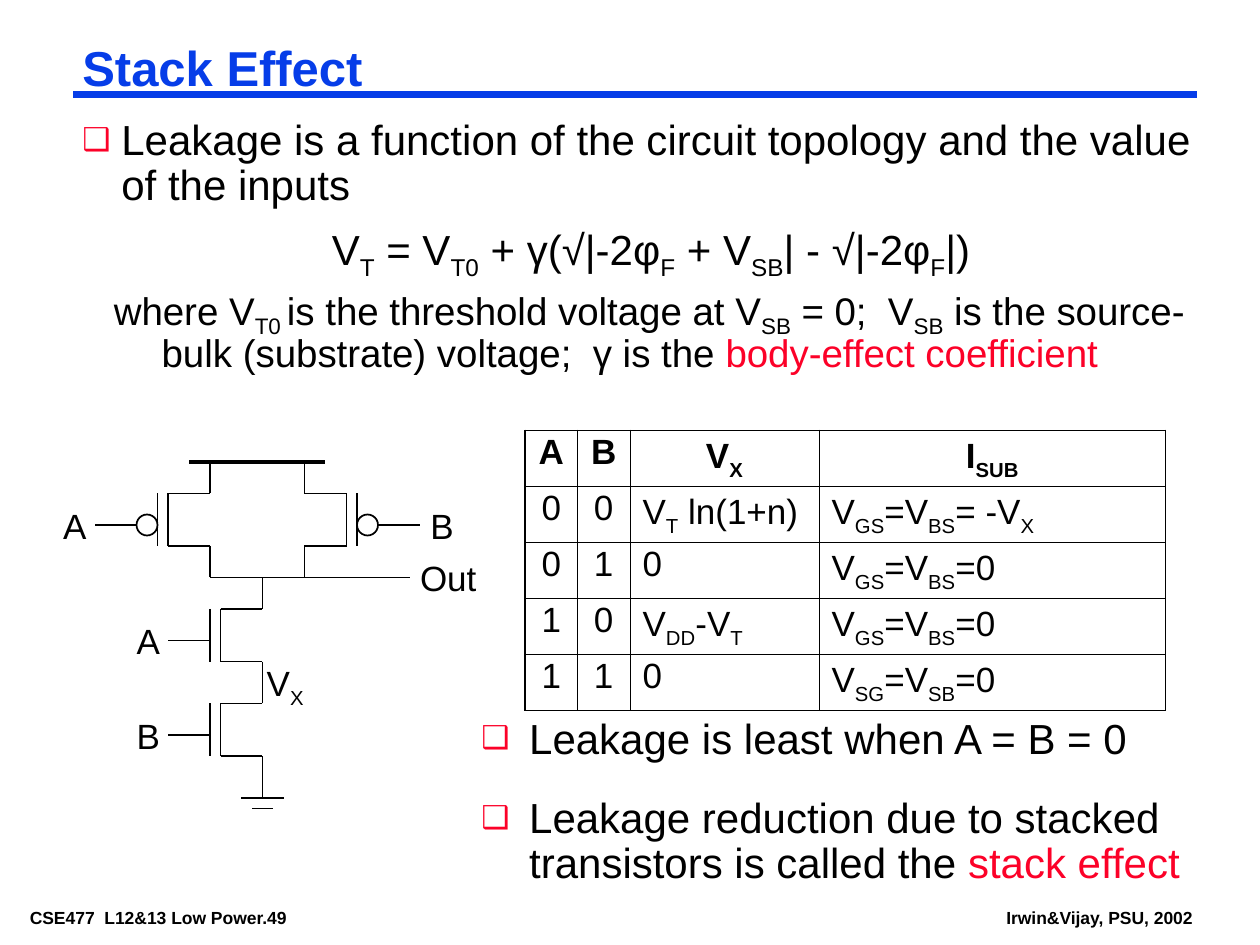
from lxml import etree
from pptx import Presentation
from pptx import util as u
from pptx.dml.color import RGBColor
from pptx.enum import shapes, text
from pptx.oxml import ns

BLACK = RGBColor(0x00, 0x00, 0x00)
BLUE = RGBColor(0x06, 0x3D, 0xE8)
RED = RGBColor(0xFC, 0x01, 0x28)
COLUMNS, ROWS = 120, 90
LEFT, CENTER = text.PP_ALIGN.LEFT, text.PP_ALIGN.CENTER
THIN, THICK = 0.45, 1.08
TRUTH_TABLE = [
    ["A", "B", "V~X~", "I~SUB~"],
    ["0", "0", "V~T~ ln(1+n)", "V~GS~=V~BS~= -V~X~"],
    ["0", "1", "0", "V~GS~=V~BS~=0"],
    ["1", "0", "V~DD~-V~T~", "V~GS~=V~BS~=0"],
    ["1", "1", "0", "V~SG~=V~SB~=0"],
]


def grid(count):
    """Convert grid steps, twelve to the inch, to a length."""
    return u.Inches(count / 12)


def add_element(parent, tag, **attributes):
    """Append a DrawingML element and return it."""
    element = etree.SubElement(parent, ns.qn(tag))
    for name, value in attributes.items():
        element.set(name, str(value))
    return element


def write_runs(paragraph, marked, size, color=BLACK, bold=False):
    """Write runs, with ~subscript~ and ^red^ marks."""
    for level, chunk in enumerate(marked.split("~")):
        for accent, piece in enumerate(chunk.split("^")):
            if piece:
                run = paragraph.add_run()
                run.text = piece
                run.font.name = "Arial"
                run.font.size = u.Pt(size)
                run.font.bold = bold
                run.font.color.rgb = RED if accent % 2 else color
                if level % 2:
                    run.font._element.set("baseline", "-25000")


def format_paragraph(paragraph, indent=0, bullet=False, spacing=1, align=LEFT):
    """Set hanging indent, red box bullet, line spacing and alignment."""
    properties = paragraph._p.get_or_add_pPr()
    properties.set("marL", str(u.Inches(indent)))
    properties.set("indent", str(-u.Inches(indent)))
    if bullet:
        color = add_element(properties, "a:buClr")
        add_element(color, "a:srgbClr", val=RED)
        add_element(properties, "a:buSzPct", val=75000)
        add_element(properties, "a:buFont", typeface="Arial")
        add_element(properties, "a:buChar", char="❑")
    paragraph.line_spacing = spacing
    paragraph.space_before = u.Pt(0)
    paragraph.alignment = align


def fill_text(shape, box, lines, size, color=BLACK, bold=False,
              margins=(0.07, 0.03), wrap=True, **layout):
    """Place a text shape in its box and write its paragraphs."""
    shape.left, shape.top, shape.width, shape.height = map(grid, box)
    frame = shape.text_frame
    frame.word_wrap = wrap
    frame.auto_size = text.MSO_AUTO_SIZE.NONE
    frame.vertical_anchor = text.MSO_ANCHOR.TOP
    frame.margin_left = frame.margin_right = u.Inches(margins[0])
    frame.margin_top = frame.margin_bottom = u.Inches(margins[1])
    for index, line in enumerate(lines):
        paragraph = frame.add_paragraph() if index else frame.paragraphs[0]
        format_paragraph(paragraph, **layout)
        if index:
            paragraph.space_before = u.Pt(19.5)
        write_runs(paragraph, line, size, color, bold)


def add_text(slide, box, lines, size, **options):
    """Add a text box."""
    shape = slide.shapes.add_textbox(*map(grid, box))
    fill_text(shape, box, lines, size, **options)


def add_label(slide, column, row, label):
    """Add a circuit label without margins."""
    add_text(slide, (column, row, 2.3, 4), [label], 20, margins=(0, 0), wrap=False)


def add_line(slide, x1, y1, x2, y2, width=1, color=BLACK):
    """Add a straight line between two grid points."""
    line = slide.shapes.add_connector(
        shapes.MSO_CONNECTOR.STRAIGHT, grid(x1), grid(y1), grid(x2), grid(y2))
    line.line.color.rgb = color
    line.line.width = u.Pt(width)
    add_element(line._element.spPr, "a:effectLst")


def add_transistor(slide, gate, top, label, side=1, inverted=False):
    """Draw a transistor whose channel lies to the given side of its gate."""
    channel, terminal = gate + side, gate + 5 * side
    upper, middle, lower = top + 3, top + 6, top + 8
    for x in (gate, channel):
        add_line(slide, x, upper, x, lower)
    for y, end in ((upper, top), (lower, top + 11)):
        add_line(slide, channel, y, terminal, y)
        add_line(slide, terminal, y, terminal, end)
    wire = gate
    if inverted:
        wire = gate - 2 * side
        bubble = slide.shapes.add_shape(
            shapes.MSO_SHAPE.OVAL, grid(min(gate, wire)), grid(middle - 1), grid(2), grid(2))
        bubble.shadow.inherit = False
        bubble.fill.background()
        bubble.line.color.rgb = BLACK
        bubble.line.width = u.Pt(1)
    wire_end = wire - 4 * side
    add_line(slide, wire, middle, wire_end, middle)
    add_label(slide, wire_end - 3 if side > 0 else wire_end + 1, top + 4, label)


def add_circuit(slide, left, top):
    """Draw the two-input gate with its stacked pull-down transistors."""
    output, stack = top + 11, left + 19
    add_transistor(slide, left + 9, top, "A", inverted=True)
    add_transistor(slide, left + 28, top, "B", side=-1, inverted=True)
    add_transistor(slide, left + 14, output, "A")
    add_transistor(slide, left + 14, output + 9, "B")
    add_line(slide, left + 12, top, left + 25, top, 2.25)
    add_line(slide, left + 14, output, left + 33, output)
    add_line(slide, stack, top + 29, stack, top + 32)
    for step, half in enumerate((2, 1)):
        add_line(slide, stack - half, top + 32 + step, stack + half, top + 32 + step)
    add_label(slide, left + 34, output - 2, "Out")
    add_label(slide, stack + 0.4, output + 8, "V~X~")


def set_borders(cell, widths):
    """Give a cell black borders, widths ordered left, right, top, bottom."""
    properties = cell._tc.get_or_add_tcPr()
    for index, (side, width) in enumerate(zip("LRTB", widths)):
        line = add_element(properties, f"a:ln{side}", w=int(u.Pt(width)))
        add_element(add_element(line, "a:solidFill"), "a:srgbClr", val=BLACK)
        properties.insert(index, line)


def add_truth_table(slide, box, column_widths):
    """Add the table of inputs, node voltage and leakage."""
    last_row, last_column = len(TRUTH_TABLE) - 1, len(column_widths) - 1
    table = slide.shapes.add_table(last_row + 1, last_column + 1, *map(grid, box)).table
    table.first_row = table.horz_banding = False
    for column, width in zip(table.columns, column_widths):
        column.width = grid(width)
    for r, values in enumerate(TRUTH_TABLE):
        table.rows[r].height = grid(box[3] / len(TRUTH_TABLE))
        for c, value in enumerate(values):
            cell = table.cell(r, c)
            cell.fill.background()
            paragraph = cell.text_frame.paragraphs[0]
            format_paragraph(paragraph, spacing=0.9, align=CENTER if r == 0 or c < 2 else LEFT)
            write_runs(paragraph, value, 20, bold=r == 0)
            heavy = (c == 0, c == last_column, r < 2, r in (0, last_row))
            set_borders(cell, [THICK if edge else THIN for edge in heavy])


def add_frame(slide):
    """Write the title, its rule and the footer."""
    fill_text(slide.shapes.title, (7, 4, 107, 5.5), ["Stack Effect"], 28,
              color=BLUE, bold=True, spacing=0.87)
    add_line(slide, 7, 9, 114, 9, 4.5, BLUE)
    for left, width, line in ((2, 32.4, "CSE477  L12&13 Low Power.49"),
                              (95, 19.5, "Irwin&Vijay, PSU, 2002")):
        add_text(slide, (left, 86, width, 2.6), [line], 10, bold=True, wrap=False)


def add_explanation(slide):
    """Write the statement, the threshold formula and its terms."""
    fill_text(slide.placeholders[1], (7, 11, 109, 9.4),
              ["Leakage is a function of the circuit topology and the value of the inputs"],
              24, indent=0.31, bullet=True, spacing=0.9)
    add_text(slide, (15, 21, 94, 5.6),
             ["V~T~ = V~T0~ + γ(√|-2φ~F~ + V~SB~| - √|-2φ~F~|)"],
             24, indent=0.38, spacing=0.9, align=CENTER)
    add_text(slide, (10, 27, 107, 9.1),
             ["where V~T0 ~is the threshold voltage at V~SB~ = 0;  V~SB~ is the source- "
              "bulk (substrate) voltage;  γ is the ^body-effect coefficient^"],
             22, indent=0.38, spacing=0.9)


def main():
    """Build and save the slide."""
    presentation = Presentation()
    presentation.slide_width, presentation.slide_height = grid(COLUMNS), grid(ROWS)
    slide = presentation.slides.add_slide(presentation.slide_layouts[1])
    add_frame(slide)
    add_explanation(slide)
    add_circuit(slide, 6, 44)
    add_truth_table(slide, (50, 41, 61, 26.67), (5, 5, 18, 33))
    add_text(slide, (45, 68, 69, 17),
             ["Leakage is least when A = B = 0",
              "Leakage reduction due to stacked transistors is called the ^stack effect^"],
             24, indent=0.38, bullet=True, spacing=0.9)
    presentation.save("out.pptx")


if __name__ == "__main__":
    main()
